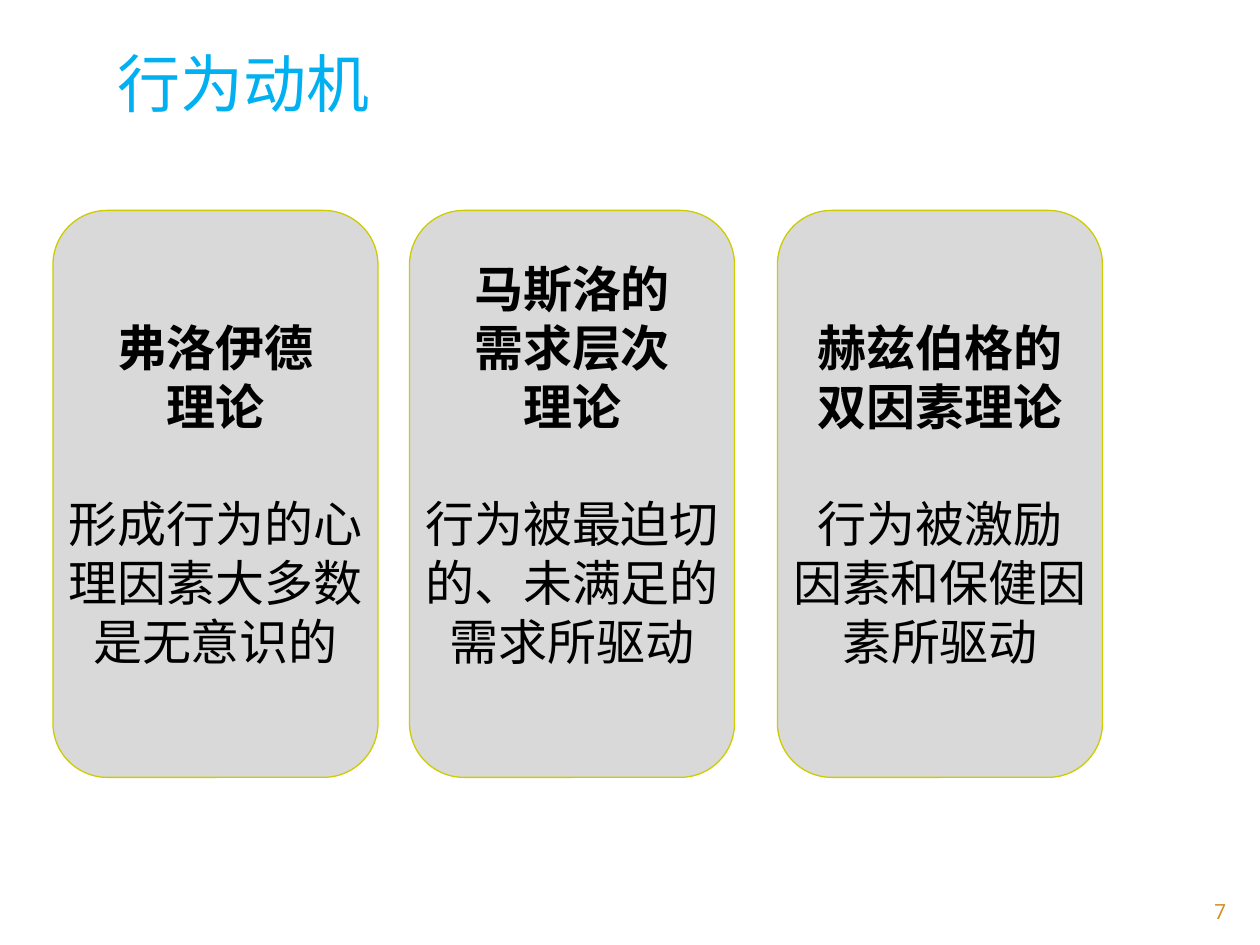
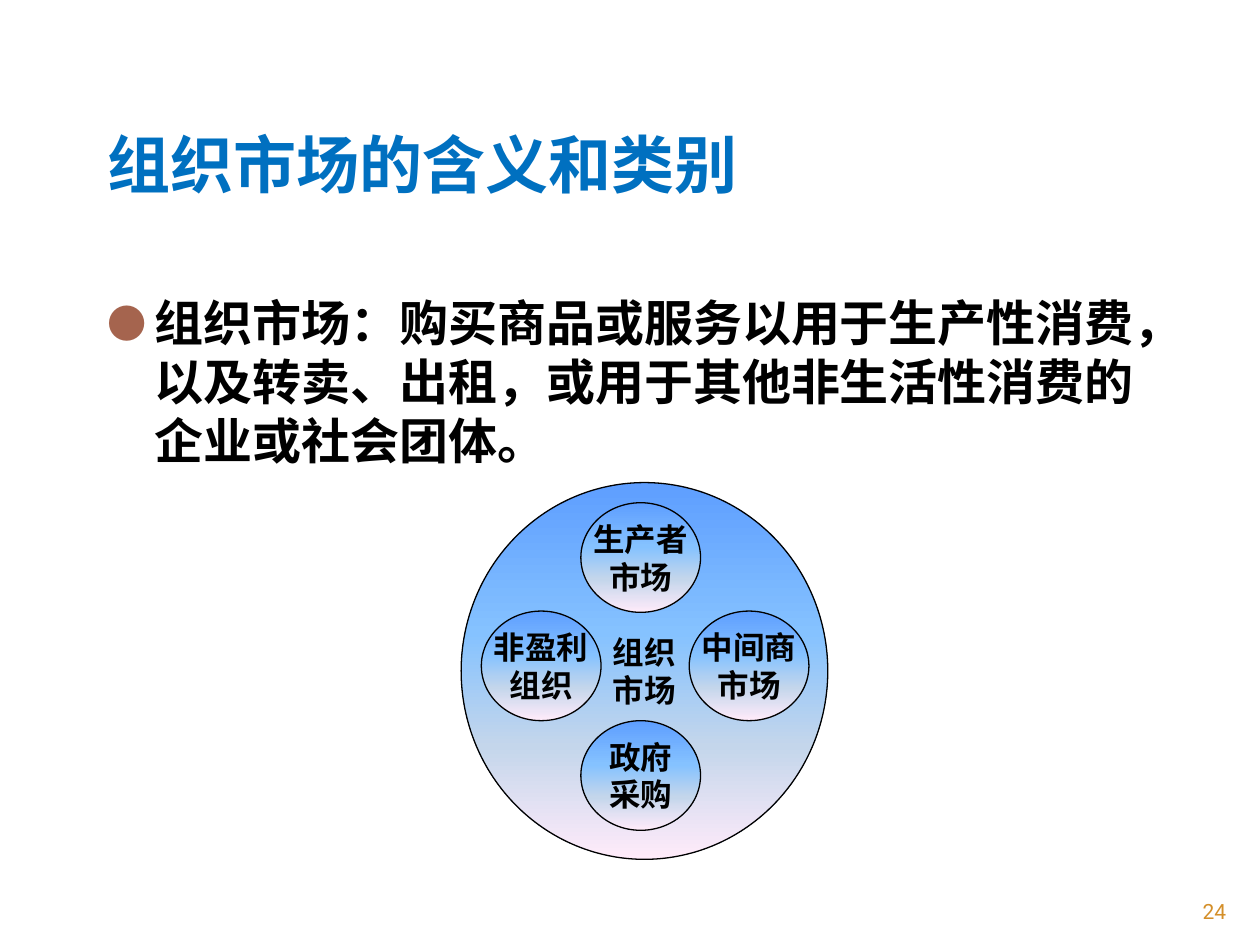
from pptx import Presentation
from pptx.dml.color import RGBColor
from pptx.enum.shapes import MSO_SHAPE
from pptx.enum.text import MSO_ANCHOR, MSO_AUTO_SIZE, PP_ALIGN
from pptx.oxml.ns import qn
from pptx.util import Inches, Pt
from lxml.etree import SubElement

# Shared style
CJK = "Noto Sans CJK SC"
BLACK = "000000"
GRADIENT = [(0, "5E9EFF"), (40, "85C2FF"), (70, "C4D6EB"), (100, "FFEBFA")]


def write(tf, text, size, font, color, bold=False, align=PP_ALIGN.LEFT,
          anchor=MSO_ANCHOR.TOP, wrap=True):
    tf.text = text
    tf.auto_size = MSO_AUTO_SIZE.NONE
    tf.word_wrap = wrap
    tf.vertical_anchor = anchor
    for p in tf.paragraphs:
        p.alignment = align
        for r in p.runs:
            r.font.size = Pt(size)
            r.font.bold = bold
            r.font.name = font
            r.font.color.rgb = RGBColor.from_string(color)
            SubElement(r._r.get_or_add_rPr(), qn("a:ea"), typeface=CJK)


def add_box(s, kind, box, line, text, size, font):
    sp = s.shapes.add_shape(kind, *map(Inches, box))
    sp.shadow.inherit = False
    sp.line.color.rgb = RGBColor.from_string(line)
    sp.line.width = Pt(0.75)
    write(sp.text_frame, text, size, font, BLACK, True, PP_ALIGN.CENTER,
          MSO_ANCHOR.MIDDLE, wrap=False)
    return sp


prs = Presentation()
prs.slide_width, prs.slide_height = Inches(10), Inches(7.5)

# Titles and slide numbers
pages = [
    (5, "行为动机", (0.83, 0.3, 8.42, 1.25), "00B0F0", False, MSO_ANCHOR.TOP, "7"),
    (1, "组织市场的含义和类别", (0.75, 0.67, 8.5, 1.25), "0070C0", True,
     MSO_ANCHOR.MIDDLE, "24"),
]
for layout, title, box, color, bold, anchor, number in pages:
    s = prs.slides.add_slide(prs.slide_layouts[layout])
    sp = s.shapes.title
    sp.left, sp.top, sp.width, sp.height = map(Inches, box)
    write(sp.text_frame, title, 36, CJK, color, bold, anchor=anchor)
    sp = s.shapes.add_textbox(Inches(9), Inches(7.08), Inches(0.83), Inches(0.27))
    write(sp.text_frame, number, 12, "Roboto", "D48F29", align=PP_ALIGN.RIGHT)
motives, markets = prs.slides

# Slide 1: theory cards, bold name above a plain explanation
LINE_HEIGHT = 33.5
cards = [
    (0.42, "弗洛伊德\n理论", "形成行为的心\n理因素大多数\n是无意识的", 0),
    (3.25, "马斯洛的\n需求层次\n理论", "行为被最迫切\n的、未满足的\n需求所驱动", LINE_HEIGHT),
    (6.17, "赫兹伯格的\n双因素理论", "行为被激励\n因素和保健因\n素所驱动", 0),
]
for left, name, meaning, lift in cards:
    sp = add_box(motives, MSO_SHAPE.ROUNDED_RECTANGLE, (left, 1.67, 2.58, 4.5),
                 "CCCC00", name + "\n" + meaning, 28, "Arial")
    sp.adjustments[0] = 0.167
    sp.fill.solid()
    sp.fill.fore_color.rgb = RGBColor.from_string("D9D9D9")
    tf = sp.text_frame
    tf.margin_bottom = Inches(0.05) + Pt(lift)
    meaning_lines = tf.paragraphs[-3:]
    meaning_lines[0].space_before = Pt(LINE_HEIGHT)
    for p in meaning_lines:
        p.runs[0].font.bold = False

# Slide 2: definition
sp = markets.placeholders[1]
sp.left, sp.top, sp.width, sp.height = map(Inches, (0.75, 2.27, 8.5, 4.5))
write(sp.text_frame, "组织市场：购买商品或服务以用于生产性消费，以及转卖、出租，"
      "或用于其他非生活性消费的企业或社会团体。", 28, CJK, BLACK, True)
p = sp.text_frame.paragraphs[0]
p.space_before = Pt(0)
pPr = p._p.get_or_add_pPr()
pPr.set("marL", str(Inches(0.38)))
pPr.set("indent", str(-Inches(0.38)))
SubElement(SubElement(pPr, qn("a:buClr")), qn("a:srgbClr"), val="A5644E")
SubElement(pPr, qn("a:buSzPct"), val="80000")
SubElement(pPr, qn("a:buFont"), typeface=CJK)
SubElement(pPr, qn("a:buChar"), char="●")

# Slide 2: organisational market with its four kinds
ovals = [
    ("组织\n市场", 3.66, 3.83, 2.91, 2.99),
    ("生产者\n市场", 4.61, 3.99, 0.95, 0.87),
    ("非盈利\n组织", 3.82, 4.85, 0.95, 0.87),
    ("政府\n采购", 4.61, 5.72, 0.95, 0.87),
    ("中间商\n市场", 5.47, 4.85, 0.95, 0.87),
]
for text, *box in ovals:
    sp = add_box(markets, MSO_SHAPE.OVAL, box, BLACK, text, 18, "Roboto")
    sp.fill.gradient()
    sp.fill.gradient_angle = 270
    stops = sp._element.spPr.find(".//" + qn("a:gsLst"))
    for gs in list(stops):
        stops.remove(gs)
    for pos, color in GRADIENT:
        gs = SubElement(stops, qn("a:gs"), pos=str(pos * 1000))
        SubElement(gs, qn("a:srgbClr"), val=color)

prs.save("out.pptx")
